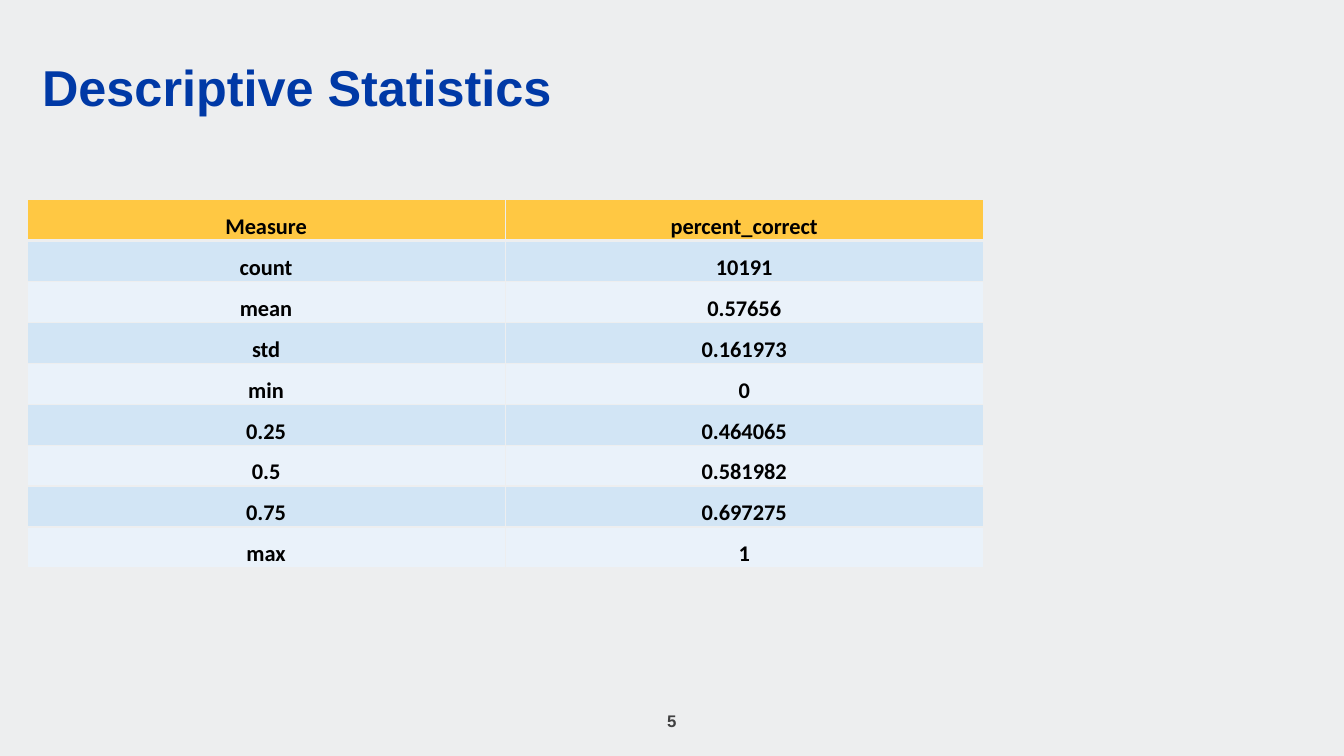
from lxml.etree import SubElement
from pptx import Presentation
from pptx.dml.color import RGBColor
from pptx.enum.text import MSO_ANCHOR, MSO_AUTO_SIZE, PP_ALIGN
from pptx.oxml.ns import qn
from pptx.util import Cm, Pt

BACKGROUND = RGBColor(0xED, 0xEE, 0xEF)
TITLE_BLUE = RGBColor(0x00, 0x39, 0xA6)
HEADER_YELLOW = RGBColor(0xFF, 0xC8, 0x43)
BAND_COLORS = (RGBColor(0xEA, 0xF2, 0xFA), RGBColor(0xD2, 0xE5, 0xF5))
BLACK = RGBColor(0x00, 0x00, 0x00)
GRAY = RGBColor(0x40, 0x40, 0x41)

STATISTICS = [
    ("Measure", "percent_correct"),
    ("count", "10191"),
    ("mean", "0.57656"),
    ("std", "0.161973"),
    ("min", "0"),
    ("0.25", "0.464065"),
    ("0.5", "0.581982"),
    ("0.75", "0.697275"),
    ("max", "1"),
]


class SlideBuilder:
    heading_font = "Arial"
    table_font = "Calibri"

    def __init__(self, deck):
        self.slide = deck.slides.add_slide(deck.slide_layouts[5])
        fill = self.slide.background.fill
        fill.solid()
        fill.fore_color.rgb = BACKGROUND

    def set_text(self, frame, text, font_name, size, color, align):
        frame.text = text
        para = frame.paragraphs[0]
        para.alignment = align
        para.font.name = font_name
        para.font.size = Pt(size)
        para.font.bold = True
        para.font.color.rgb = color
        return para

    def title(self, text, left, top, width, height):
        box = self.slide.shapes.title
        box.left, box.top, box.width, box.height = left, top, width, height
        frame = box.text_frame
        frame.margin_left = frame.margin_right = 0
        frame.margin_top = frame.margin_bottom = 0
        frame.vertical_anchor = MSO_ANCHOR.BOTTOM
        frame.auto_size = MSO_AUTO_SIZE.NONE
        para = self.set_text(frame, text, self.heading_font, 36, TITLE_BLUE, PP_ALIGN.LEFT)
        para.line_spacing = 0.9

    def page_number(self, text, left, top, width, height):
        frame = self.slide.shapes.add_textbox(left, top, width, height).text_frame
        frame.word_wrap = True
        frame.vertical_anchor = MSO_ANCHOR.MIDDLE
        self.set_text(frame, text, self.heading_font, 12, GRAY, PP_ALIGN.CENTER)

    def border(self, cell, side, points):
        line = SubElement(cell._tc.get_or_add_tcPr(), qn(f"a:ln{side}"), w=str(Pt(points)))
        fill = SubElement(line, qn("a:solidFill"))
        SubElement(fill, qn("a:srgbClr"), val=str(BACKGROUND))

    def table(self, rows, left, top, width, height):
        table = self.slide.shapes.add_table(
            len(rows), len(rows[0]), left, top, width, height
        ).table
        for row_index, values in enumerate(rows):
            color = BAND_COLORS[row_index % 2] if row_index else HEADER_YELLOW
            for column_index, value in enumerate(values):
                cell = table.cell(row_index, column_index)
                cell.margin_left = cell.margin_right = cell.margin_top = Cm(0.02)
                cell.margin_bottom = 0
                cell.vertical_anchor = MSO_ANCHOR.BOTTOM
                self.set_text(cell.text_frame, value, self.table_font, 16, BLACK, PP_ALIGN.CENTER)
                # The rule under the header is thicker than the others.
                thickness = {"L": 1, "R": 1,
                             "T": 3 if row_index == 1 else 1,
                             "B": 3 if row_index == 0 else 1}
                for side, points in thickness.items():
                    self.border(cell, side, points)
                cell.fill.solid()
                cell.fill.fore_color.rgb = color


def main():
    deck = Presentation()
    deck.slide_width, deck.slide_height = Cm(33.87), Cm(19.05)
    builder = SlideBuilder(deck)
    builder.title("Descriptive Statistics", Cm(1.06), Cm(1.57), Cm(31.75), Cm(1.4))
    builder.table(STATISTICS, Cm(0.68), Cm(5.03), Cm(24.1), Cm(9.28))
    builder.page_number("5", Cm(13.12), Cm(17.65), Cm(7.62), Cm(1.02))
    deck.save("out.pptx")


if __name__ == "__main__":
    main()
